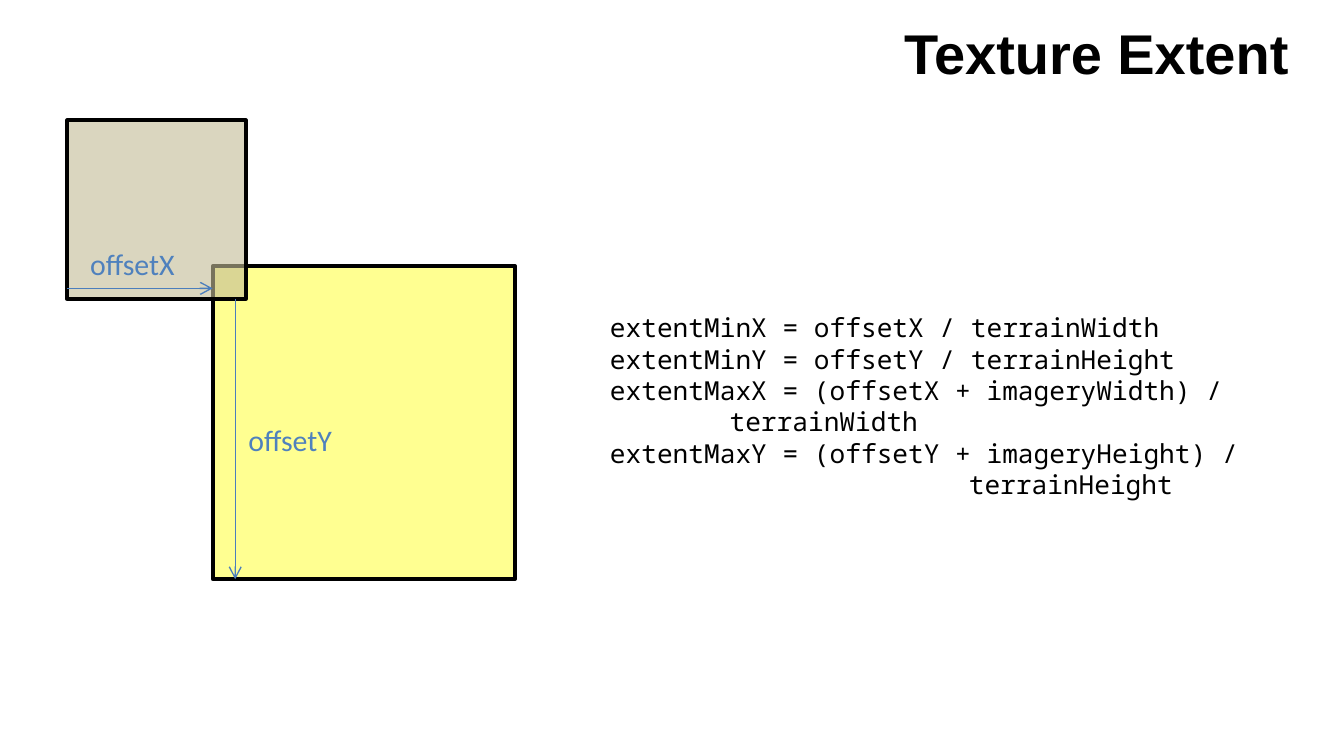
import pptx
import pptx.util
import pptx.dml.color
import pptx.enum.shapes
import pptx.enum.text
import pptx.oxml
import pptx.oxml.ns

RGBColor = pptx.dml.color.RGBColor
Pt = pptx.util.Pt
Anchor = pptx.enum.text.MSO_ANCHOR
Align = pptx.enum.text.PP_ALIGN
AutoSize = pptx.enum.text.MSO_AUTO_SIZE

BLACK = RGBColor(0x00, 0x00, 0x00)
YELLOW = RGBColor(0xFF, 0xFF, 0x00)
TAN = RGBColor(0xC4, 0xBD, 0x97)
ARROW_BLUE = RGBColor(0x4B, 0x7E, 0xBC)
LABEL_BLUE = RGBColor(0x4F, 0x81, 0xBD)


def add_element(parent, tag, **attributes):
    element = pptx.oxml.parse_xml(f"<a:{tag} {pptx.oxml.ns.nsdecls('a')}/>")
    for key, value in attributes.items():
        element.set(key, str(value))
    parent.append(element)
    return element


class ExtentSlide:
    """Places elements on a grid whose cells are a tenth of an inch."""

    CELL = pptx.util.Inches(0.1)
    TAB = pptx.util.Inches(0.89)

    def __init__(self, presentation):
        title_only = presentation.slide_layouts[5]
        self.slide = presentation.slides.add_slide(title_only)

    def grid(self, *cells):
        return [round(cell * self.CELL) for cell in cells]

    def style(self, paragraph, face, size, color, bold=False):
        font = paragraph.font
        font.name, font.size, font.bold = face, Pt(size), bold
        font.color.rgb = color

    def title(self, text, box):
        title = self.slide.shapes.title
        title.left, title.top, title.width, title.height = self.grid(*box)
        frame = title.text_frame
        frame.text = text
        frame.vertical_anchor = Anchor.MIDDLE
        frame.margin_left, frame.margin_right = self.grid(0.9, 0.9)
        frame.margin_top, frame.margin_bottom = self.grid(0.4, 0.4)
        paragraph = frame.paragraphs[0]
        paragraph.alignment = Align.RIGHT
        self.style(paragraph, "Arial", 30, BLACK, bold=True)

    def text(self, lines, box, face, size, color, wrap=True, tabs=0):
        frame = self.slide.shapes.add_textbox(*self.grid(*box)).text_frame
        frame.word_wrap = wrap
        frame.auto_size = AutoSize.SHAPE_TO_FIT_TEXT
        frame.text = "\n".join(lines)
        for paragraph, line in zip(frame.paragraphs, lines):
            paragraph.text = line
            if tabs:
                stops = add_element(paragraph._p.get_or_add_pPr(), "tabLst")
                for stop in range(1, tabs + 1):
                    add_element(stops, "tab", pos=stop * self.TAB, algn="l")
            self.style(paragraph, face, size, color)

    def label(self, text, left, top):
        self.text([text], (left, top, 8.4, 3.7), "Calibri", 16, LABEL_BLUE, wrap=False)

    def tile(self, box, color, opacity):
        tile = self.slide.shapes.add_shape(
            pptx.enum.shapes.MSO_SHAPE.RECTANGLE, *self.grid(*box))
        tile.shadow.inherit = False
        tile.fill.solid()
        tile.fill.fore_color.rgb = color
        fill = tile._element.spPr.find(pptx.oxml.ns.qn("a:solidFill"))
        add_element(fill[0], "alpha", val=opacity * 1000)
        tile.line.color.rgb = BLACK
        tile.line.width = Pt(2)

    def arrow(self, start, end):
        arrow = self.slide.shapes.add_connector(
            pptx.enum.shapes.MSO_CONNECTOR.STRAIGHT, *self.grid(*start, *end))
        arrow.line.color.rgb = ARROW_BLUE
        arrow.line.width = Pt(0.75)
        add_element(arrow.line._get_or_add_ln(), "tailEnd", type="arrow")
        add_element(arrow._element.spPr, "effectLst")


def main():
    presentation = pptx.Presentation()
    presentation.slide_width = pptx.util.Inches(10)
    presentation.slide_height = presentation.slide_width * 9 // 16
    slide = ExtentSlide(presentation)

    slide.title("Texture Extent", (27.1, 1, 69.7, 5.7))
    formulas = [
        "extentMinX = offsetX / terrainWidth",
        "extentMinY = offsetY / terrainHeight",
        "extentMaxX = (offsetX + imageryWidth) /\v\tterrainWidth",
        "extentMaxY = (offsetY + imageryHeight) /\v\t\t\tterrainHeight",
    ]
    slide.text(formulas, (44.4, 22.7, 49.8, 15.1), "Noto Sans Mono", 14, BLACK, tabs=3)

    terrain_left, terrain_top, terrain_side = 5, 8.95, 13.3
    imagery_left, imagery_top, imagery_width, imagery_height = 15.83, 19.8, 22.5, 23.3
    terrain_bottom = terrain_top + terrain_side
    imagery_bottom = imagery_top + imagery_height
    offset_x_row, offset_y_column = 21.46, 17.5

    slide.tile((imagery_left, imagery_top, imagery_width, imagery_height), YELLOW, 43)
    slide.tile((terrain_left, terrain_top, terrain_side, terrain_side), TAN, 61)
    slide.arrow((terrain_left, offset_x_row), (imagery_left, offset_x_row))
    slide.label("offsetX", 5.73, 17.8)
    slide.arrow((offset_y_column, terrain_bottom), (offset_y_column, imagery_bottom))
    slide.label("offsetY", offset_y_column, 30.9)

    presentation.save("out.pptx")


if __name__ == "__main__":
    main()
